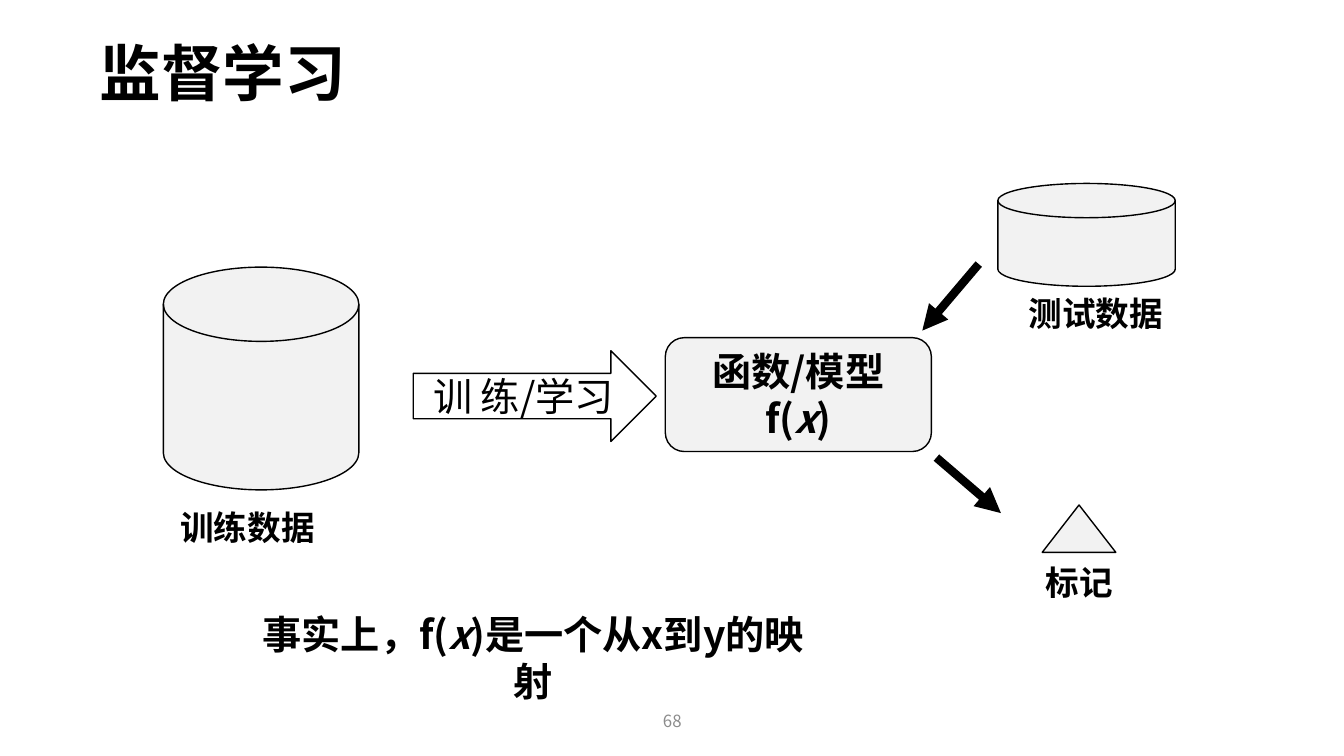
from dataclasses import dataclass
from lxml.etree import SubElement
from pptx import Presentation
from pptx.dml.color import RGBColor
from pptx.enum.shapes import MSO_CONNECTOR, MSO_SHAPE as Preset
from pptx.enum.text import MSO_ANCHOR as Anchor, PP_ALIGN as Align
from pptx.oxml.ns import qn
from pptx.util import Inches, Pt


@dataclass(frozen=True)
class Theme:
    font: str = "Noto Sans CJK SC"
    ink: RGBColor = RGBColor(0, 0, 0)
    gray: RGBColor = RGBColor(0x8C, 0x8C, 0x8C)
    pale: RGBColor = RGBColor(0xF2, 0xF2, 0xF2)
    white: RGBColor = RGBColor(255, 255, 255)
    title: int = 44
    body: int = 28
    label: int = 24
    number: int = 12
    outline: int = 1
    arrow: int = 6


theme = Theme()
deck = Presentation()
deck.slide_width, deck.slide_height = Inches(13.333), Inches(7.5)
page = deck.slides.add_slide(deck.slide_layouts[5])


def place(columns, rows, wide, high):
    """Turn cells of a 40 by 30 grid into slide lengths."""
    column, row = deck.slide_width / 40, deck.slide_height / 30
    return int(columns * column), int(rows * row), int(wide * column), int(high * row)


def write(box, words, size, bold=True, color=theme.ink, align=Align.CENTER, anchor=Anchor.MIDDLE):
    """Fill a box with one paragraph; a run that is just x is italic."""
    frame = box.text_frame
    frame.word_wrap, frame.vertical_anchor = True, anchor
    para = frame.paragraphs[0]
    para.alignment = align
    for word in words:
        span = para.add_run()
        span.text = word
        span.font.name, span.font.size = theme.font, Pt(size)
        span.font.bold, span.font.italic = bold, word == "x"
        span.font.color.rgb = color
        SubElement(span.font._element, qn("a:ea"), typeface=theme.font)
    return para


# Title
title = page.shapes.title
title.left, title.top, title.width, title.height = place(2.67, 0.68, 34.5, 4.72)
write(title, ["监督学习"], theme.title, align=Align.LEFT).line_spacing = 0.9

# Data, training arrow, model and label mark
shapes = [
    (Preset.FLOWCHART_ALTERNATE_PROCESS, (19.8, 13.4, 7.92, 4.52), theme.pale, ["函数/模型f(", "x", ")"], True),
    (Preset.FLOWCHART_MAGNETIC_DISK, (29.7, 7.28, 5.28, 4.08), theme.pale, [], False),
    (Preset.RIGHT_ARROW, (12.3, 13.92, 7.23, 3.6), theme.white, ["训 练/学习"], False),
    (Preset.ISOSCELES_TRIANGLE, (31.02, 20.04, 2.19, 1.88), theme.pale, [], False),
    (Preset.FLOWCHART_MAGNETIC_DISK, (4.86, 10.6, 5.82, 8.84), theme.pale, [], False),
]
for preset, cells, fill, words, bold in shapes:
    shape = page.shapes.add_shape(preset, *place(*cells))
    shape.shadow.inherit = False
    shape.fill.solid()
    shape.fill.fore_color.rgb = fill
    shape.line.color.rgb, shape.line.width = theme.ink, Pt(theme.outline)
    write(shape, words, theme.body, bold)

# Arrows into and out of the model
for ends in [(29.13, 10.48, 27.45, 13.12), (27.87, 18.16, 29.79, 20.36)]:
    arrow = page.shapes.add_connector(MSO_CONNECTOR.STRAIGHT, *place(*ends))
    arrow.line.color.rgb, arrow.line.width = theme.ink, Pt(theme.arrow)
    SubElement(arrow.line._get_or_add_ln(), qn("a:tailEnd"), type="triangle")
    SubElement(arrow._element.spPr, qn("a:effectLst"))

# Captions, closing sentence and page number
texts = [
    ((30.24, 22.12, 3.78, 2), ["标记"], theme.label, True, theme.ink, Anchor.TOP),
    ((28.44, 11.44, 8.34, 2), ["测试数据"], theme.label, True, theme.ink, Anchor.TOP),
    ((3.27, 19.92, 8.19, 2), ["训练数据"], theme.label, True, theme.ink, Anchor.TOP),
    ((7.02, 24.04, 17.7, 2.28), ["事实上，f(", "x", ")是一个从x到y的映射"], theme.body, True, theme.ink, Anchor.TOP),
    ((13.26, 27.8, 13.5, 1.6), ["68"], theme.number, False, theme.gray, Anchor.MIDDLE),
]
for cells, words, size, bold, color, anchor in texts:
    box = page.shapes.add_textbox(*place(*cells))
    write(box, words, size, bold, color, anchor=anchor)

deck.save("out.pptx")
